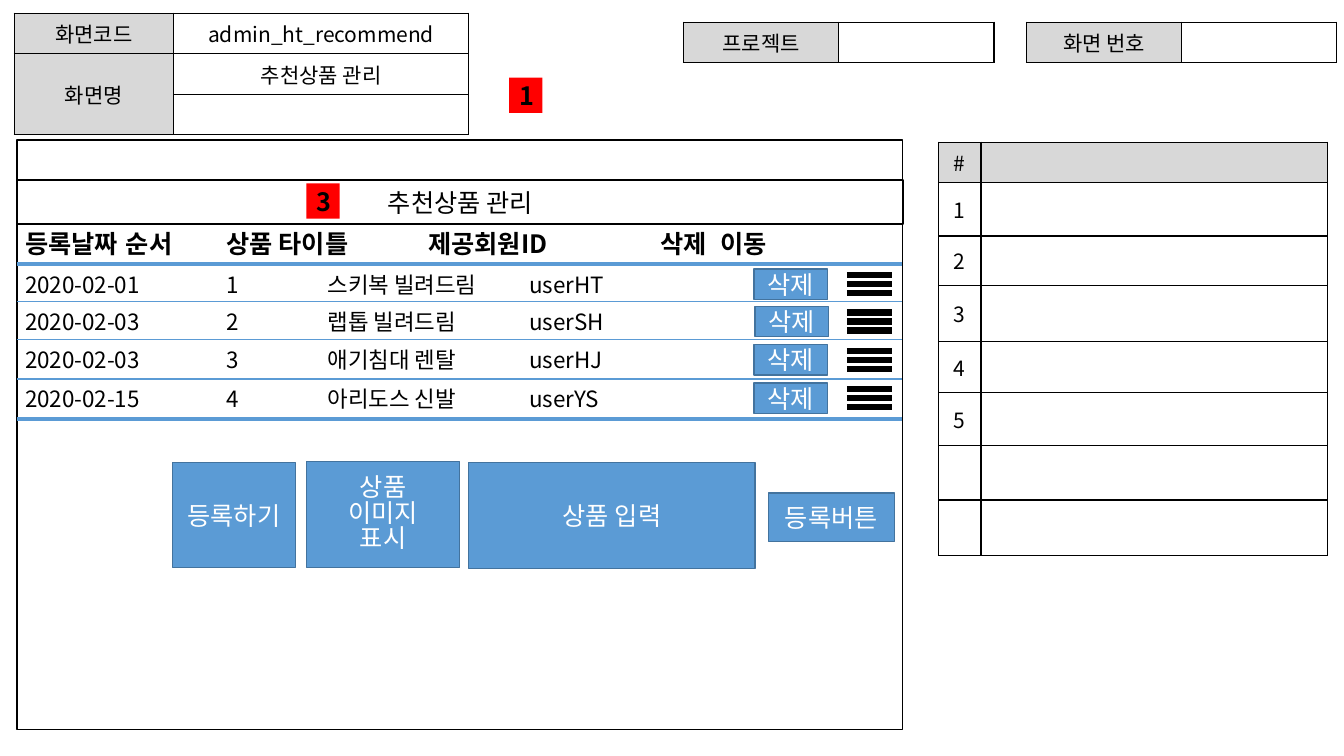
from dataclasses import dataclass

from lxml import etree
from pptx import Presentation
from pptx.dml.color import RGBColor
from pptx.enum.shapes import MSO_CONNECTOR, MSO_SHAPE
from pptx.enum.text import MSO_ANCHOR, PP_ALIGN
from pptx.oxml.ns import qn
from pptx.util import Inches, Pt

RECT = MSO_SHAPE.RECTANGLE
STRAIGHT = MSO_CONNECTOR.STRAIGHT
MIDDLE = MSO_ANCHOR.MIDDLE
CENTER, LEFT = PP_ALIGN.CENTER, PP_ALIGN.LEFT

FONT = "Noto Sans CJK KR"
BLACK, WHITE, GRAY, RED = "000000", "FFFFFF", "D8D8D8", "FF0000"
BLUE, DARK_BLUE = "5B9BD5", "43739E"


@dataclass
class Grid:
    left: float
    top: float
    widths: list[float]
    heights: list[float]
    texts: list[list[str]]
    header_row: bool = False  # gray first row instead of gray first column


@dataclass
class Box:
    left: float
    top: float
    width: float
    height: float
    text: str = ""
    fill: str | None = BLUE
    line: str | None = DARK_BLUE
    weight: float = 1
    color: str = WHITE
    bold: bool = False
    spacing: float | None = None


@dataclass
class Product:
    top: float
    date: str
    title: str
    member: str
    button_left: float = 7.48


def rgb(value: str) -> RGBColor:
    return RGBColor.from_string(value)


def write(frame, text: str, size: float, color: str = BLACK, bold: bool = False,
          align=CENTER, spacing: float | None = None) -> None:
    for index, line in enumerate(text.split("\n")):
        paragraph = frame.add_paragraph() if index else frame.paragraphs[0]
        paragraph.alignment = align
        if spacing:
            paragraph.line_spacing = spacing
        run = paragraph.add_run()
        run.text = line
        run.font.size = Pt(size)
        run.font.bold = bold
        run.font.name = FONT
        run.font.color.rgb = rgb(color)
        etree.SubElement(run.font._element, qn("a:ea"), typeface=FONT)


def add_border(cell) -> None:
    properties = cell._tc.get_or_add_tcPr()
    for index, side in enumerate(("lnL", "lnR", "lnT", "lnB")):
        edge = etree.Element(qn(f"a:{side}"), w=str(Pt(1)))
        fill = etree.SubElement(edge, qn("a:solidFill"))
        etree.SubElement(fill, qn("a:srgbClr"), val=BLACK)
        properties.insert(index, edge)


def draw_grid(slide, grid: Grid):
    table = slide.shapes.add_table(
        len(grid.heights), len(grid.widths), Inches(grid.left), Inches(grid.top),
        Inches(sum(grid.widths)), Inches(sum(grid.heights))).table
    for column, width in zip(table.columns, grid.widths):
        column.width = Inches(width)
    for r, height in enumerate(grid.heights):
        table.rows[r].height = Inches(height)
        for c, text in enumerate(grid.texts[r]):
            cell = table.cell(r, c)
            shaded = r == 0 if grid.header_row else c == 0
            cell.fill.solid()
            cell.fill.fore_color.rgb = rgb(GRAY if shaded else WHITE)
            cell.vertical_anchor = MIDDLE
            add_border(cell)
            if text:
                write(cell.text_frame, text, 15)
            else:
                cell.margin_top = cell.margin_bottom = 0
    return table


def draw_box(slide, box: Box) -> None:
    shape = slide.shapes.add_shape(RECT, Inches(box.left), Inches(box.top),
                                   Inches(box.width), Inches(box.height))
    shape.shadow.inherit = False
    if box.fill:
        shape.fill.solid()
        shape.fill.fore_color.rgb = rgb(box.fill)
    else:
        shape.fill.background()
    if box.line:
        shape.line.color.rgb = rgb(box.line)
        shape.line.width = Pt(box.weight)
    else:
        shape.line.fill.background()
    if box.text:
        frame = shape.text_frame
        frame.word_wrap = True
        frame.vertical_anchor = MIDDLE
        frame.margin_top = frame.margin_bottom = 0
        write(frame, box.text, 18, box.color, box.bold, spacing=box.spacing)


def draw_rule(slide, left: float, right: float, y: float, color: str, weight: float) -> None:
    rule = slide.shapes.add_connector(STRAIGHT, Inches(left), Inches(y), Inches(right), Inches(y))
    rule.line.color.rgb = rgb(color)
    rule.line.width = Pt(weight)
    etree.SubElement(rule._element.spPr, qn("a:effectLst"))


def draw_columns(slide, top: float, texts: list[str], stops: list[float],
                 size: float, bold: bool = False) -> None:
    box = slide.shapes.add_textbox(Inches(0.15), Inches(top), Inches(8.79), Inches(0.34))
    frame = box.text_frame
    frame.word_wrap = True
    frame.vertical_anchor = MIDDLE
    frame.margin_top = frame.margin_bottom = 0
    write(frame, "\t".join(texts), size, bold=bold, align=LEFT)
    tabs = etree.SubElement(frame.paragraphs[0]._p.get_or_add_pPr(), qn("a:tabLst"))
    for stop in stops:
        etree.SubElement(tabs, qn("a:tab"), pos=str(Inches(stop)), algn="l")


SCREEN_INFO = Grid(0.14, 0.13, [1.58, 2.93], [0.4] * 3, [
    ["화면코드", "admin_ht_recommend"], ["화면명", "추천상품 관리"], ["", ""]])
LABELS = [Grid(left, 0.22, [1.54] * 2, [0.4], [[label, ""]])
          for left, label in ((10.18, "화면 번호"), (6.78, "프로젝트"))]
NOTES = Grid(9.31, 1.41, [0.42, 3.44], [0.4, 0.53, 0.49, 0.56, 0.5, 0.53, 0.54, 0.55],
             [[mark, ""] for mark in ("#", "1", "2", "3", "4", "5", "", "")], True)

FRAMES = [
    Box(0.17, 1.39, 8.78, 5.85, fill=None, line=BLACK),
    Box(0.17, 1.79, 8.79, 0.43, "추천상품 관리", None, BLACK, 1.5, BLACK),
]
MARKERS = [Box(left, top, 0.33, 0.35, number, RED, None, color=BLACK, bold=True)
           for left, top, number in ((5.05, 0.77, "1"), (3.04, 1.82, "3"))]
PRODUCTS = [
    Product(2.65, "2020-02-01", "스키복 빌려드림", "userHT"),
    Product(3.02, "2020-02-03", "랩톱 빌려드림", "userSH", 7.49),
    Product(3.4, "2020-02-03", "애기침대 렌탈", "userHJ"),
    Product(3.78, "2020-02-15", "아리도스 신발", "userYS"),
]
DIVIDERS = [(2.62, 3), (2.99, 0.75), (3.37, 0.75), (3.76, 0.75), (4.16, 3)]
FORM = [
    Box(1.71, 4.59, 1.22, 1.04, "등록하기"),
    Box(3.04, 4.58, 1.52, 1.05, "상품\n이미지\n표시", spacing=0.84),
    Box(4.65, 4.59, 2.84, 1.05, "상품 입력"),
    Box(7.62, 4.89, 1.25, 0.48, "등록버튼"),
]


def main() -> None:
    deck = Presentation()
    deck.slide_width, deck.slide_height = Inches(13.33), Inches(7.5)
    slide = deck.slides.add_slide(deck.slide_layouts[6])

    # Document header and notes tables
    screen_info = draw_grid(slide, SCREEN_INFO)
    screen_info.cell(1, 0).merge(screen_info.cell(2, 0))
    for grid in [*LABELS, NOTES]:
        draw_grid(slide, grid)

    # Screen frame, title and numbered markers
    for box in FRAMES + MARKERS:
        draw_box(slide, box)

    # Product list
    draw_columns(slide, 2.25, ["등록날짜", "순서", "상품 타이틀", "제공회원ID", "삭제", "이동"],
                 [1, 2, 4, 6.3, 6.9], 18, True)
    for y, weight in DIVIDERS:
        draw_rule(slide, 0.17, 8.95, y, BLUE, weight)
    for order, product in enumerate(PRODUCTS, 1):
        draw_columns(slide, product.top, [product.date, str(order), product.title, product.member],
                     [2, 3, 5], 16)
        draw_box(slide, Box(product.button_left, product.top + 0.02, 0.73, 0.3, "삭제"))
        for bar in range(3):
            draw_rule(slide, 8.4, 8.85, product.top + 0.08 + 0.09 * bar, BLACK, 4.5)

    # Registration form
    for box in FORM:
        draw_box(slide, box)

    deck.save("out.pptx")


if __name__ == "__main__":
    main()
